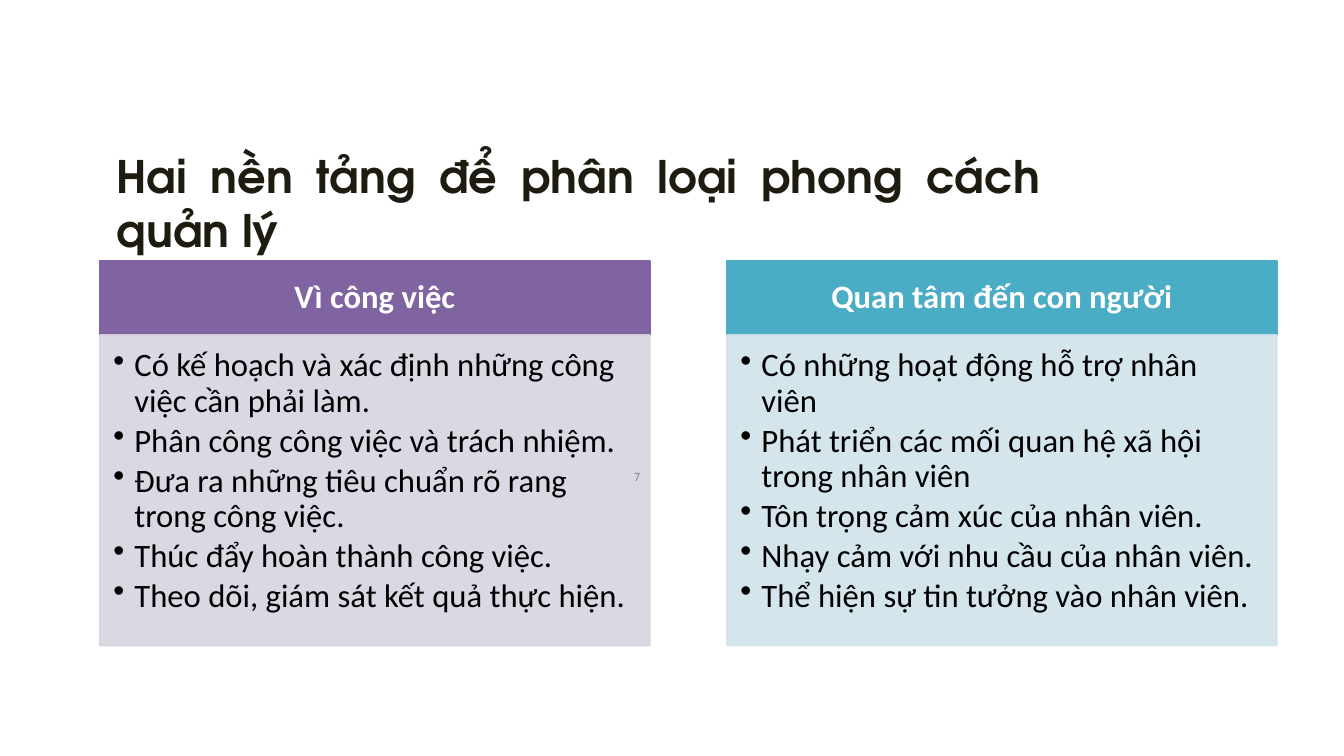
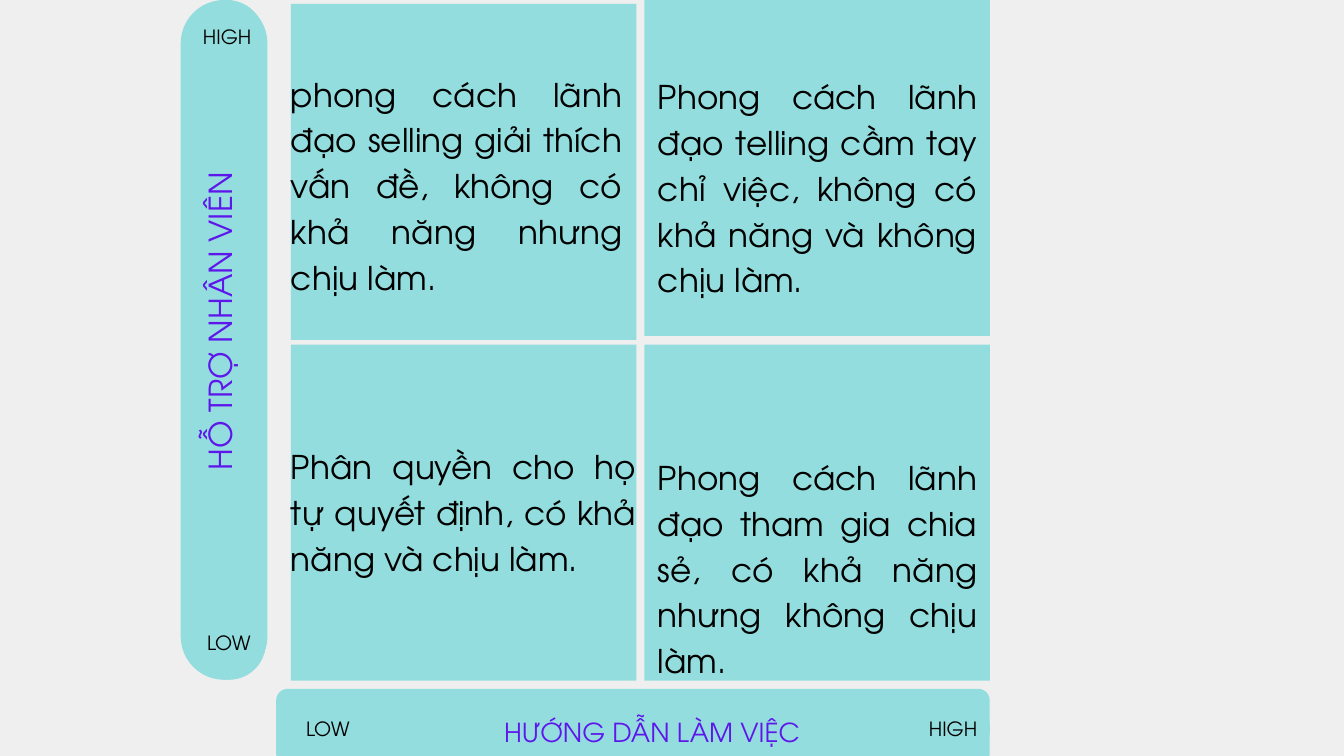
import pptx
import pptx.dml.color
import pptx.enum.shapes
import pptx.enum.text
import pptx.oxml.ns
import pptx.util
from lxml import etree

Cm = pptx.util.Cm
Pt = pptx.util.Pt
SHAPE = pptx.enum.shapes.MSO_SHAPE
ALIGN = pptx.enum.text.PP_ALIGN
ANCHOR = pptx.enum.text.MSO_ANCHOR
qn = pptx.oxml.ns.qn

HEADING_FONT = "TeX Gyre Adventor"
BODY_FONT = "Calibri"
BLACK = "000000"
WHITE = "FFFFFF"
TEAL = "94DDDE"
VIOLET = "5E17EB"

CARD_LEFTS = (3.78, 27.48)
CARD_WIDTH = 20.78
HEADER_TOP, HEADER_HEIGHT = 9.88, 2.79
LIST_HEIGHT = 11.73

CARDS = [
    ("Vì công việc", "8064A2", "D8D3E0", [
        "Có kế hoạch và xác định những công việc cần phải làm.",
        "Phân công công việc và trách nhiệm.",
        "Đưa ra những tiêu chuẩn rõ rang trong công việc.",
        "Thúc đẩy hoàn thành công việc.",
        "Theo dõi, giám sát kết quả thực hiện.",
    ]),
    ("Quan tâm đến con người", "4BACC6", "D0E3EA", [
        "Có những hoạt động hỗ trợ nhân viên",
        "Phát triển các mối quan hệ xã hội trong nhân viên",
        "Tôn trọng cảm xúc của nhân viên.",
        "Nhạy cảm với nhu cầu của nhân viên.",
        "Thể hiện sự tin tưởng vào nhân viên.",
    ]),
]

QUADRANTS = [
    ((11, 0.15), (11, 2.57, 12.52, 6.86),
     "phong cách lãnh đạo selling giải thích vấn đề, "
     "không có khả năng nhưng chịu làm."),
    ((24.36, 0), (24.87, 2.67, 12.07, 8.53),
     "Phong cách lãnh đạo telling cầm tay chỉ việc, "
     "không có khả năng và không chịu làm."),
    ((11, 13.03), (11, 16.66, 13.06, 5.16),
     "Phân quyền cho họ tự quyết định, có khả năng và chịu làm."),
    ((24.36, 13.03), (24.87, 17.07, 12.07, 6.86),
     "Phong cách lãnh đạo tham gia chia sẻ, "
     "có khả năng nhưng không chịu làm."),
]

AXIS_ENDS = [
    ("HIGH", 7.19, 0),
    ("LOW", 7.26, 22.91),
    ("LOW", 11, 26.14),
    ("HIGH", 34.63, 26.16),
]


def rgb(color):
    return pptx.dml.color.RGBColor.from_string(color)


def write(sp, text, size=35, font=HEADING_FONT, color=BLACK, bold=False,
          align=ALIGN.LEFT, anchor=ANCHOR.TOP, insets=(0.25, 0.13, 0.25, 0.13),
          spacing=None, after=0, margin=0, bullet=None, wrap=True,
          direction=None):
    tf = sp.text_frame
    tf.word_wrap = wrap
    tf.auto_size = pptx.enum.text.MSO_AUTO_SIZE.NONE
    tf.vertical_anchor = anchor
    (tf.margin_left, tf.margin_top,
     tf.margin_right, tf.margin_bottom) = map(Cm, insets)
    if direction:
        tf._txBody.bodyPr.set("vert", direction)
    lines = [text] if isinstance(text, str) else text
    for i, line in enumerate(lines):
        p = tf.add_paragraph() if i else tf.paragraphs[0]
        pPr = p._p.get_or_add_pPr()
        pPr.set("marL", str(Cm(margin)))
        pPr.set("indent", str(-Cm(margin) if bullet else 0))
        if bullet:
            etree.SubElement(pPr, qn("a:buChar")).set("char", bullet)
        p.alignment = align
        p.space_before = Pt(0)
        p.space_after = Pt(after)
        if spacing:
            p.line_spacing = spacing
        r = p.add_run()
        r.text = line
        r.font.name = font
        r.font.size = Pt(size)
        r.font.bold = bold
        r.font.color.rgb = rgb(color)


def add_text(s, box, text, **fmt):
    write(s.shapes.add_textbox(*map(Cm, box)), text, **fmt)


def add_block(s, kind, box, fill, outlined=False, opacity=None):
    sp = s.shapes.add_shape(kind, *map(Cm, box))
    sp.shadow.inherit = False
    sp.fill.solid()
    sp.fill.fore_color.rgb = rgb(fill)
    if outlined:
        sp.line.color.rgb = rgb(fill)
        sp.line.width = Pt(2)
    else:
        sp.line.fill.background()
    if opacity:
        for clr in sp._element.spPr.iter(qn("a:srgbClr")):
            etree.SubElement(clr, qn("a:alpha")).set("val", str(opacity * 1000))
    return sp


def add_bar(s, box, radius):
    sp = add_block(s, SHAPE.ROUNDED_RECTANGLE, box, TEAL)
    sp.adjustments[0] = radius


def add_card(s, left, heading, dark, light, items):
    header = add_block(s, SHAPE.RECTANGLE,
                       (left, HEADER_TOP, CARD_WIDTH, HEADER_HEIGHT),
                       dark, outlined=True)
    write(header, heading, font=BODY_FONT, color=WHITE, bold=True,
          align=ALIGN.CENTER, anchor=ANCHOR.MIDDLE,
          insets=(0.69, 0.41, 0.69, 0.41), spacing=0.9)
    body = add_block(s, SHAPE.RECTANGLE,
                     (left, HEADER_TOP + HEADER_HEIGHT, CARD_WIDTH, LIST_HEIGHT),
                     light, outlined=True, opacity=90)
    write(body, items, font=BODY_FONT, insets=(0.51, 0.51, 0.69, 0.79),
          spacing=0.9, after=5, margin=0.79, bullet="•")


def add_axis_end(s, label, left, top):
    sp = add_block(s, SHAPE.OVAL, (left, top, 2.79, 2.79), TEAL)
    write(sp, label, size=21, align=ALIGN.CENTER, anchor=ANCHOR.MIDDLE,
          insets=(0, 0, 0, 0.15), spacing=Pt(29.4), wrap=False)


def add_axis_title(s, box, text, **fmt):
    add_text(s, box, text, color=VIOLET, align=ALIGN.CENTER,
             anchor=ANCHOR.MIDDLE, insets=(0.15,) * 4, **fmt)


def build_foundations(prs):
    s = prs.slides.add_slide(prs.slide_layouts[5])
    title = s.shapes.title
    title.left, title.top, title.width, title.height = map(
        Cm, (3.38, 5.51, 36.2, 2.84))
    write(title, "Hai nền tảng để phân loại phong cách quản lý", size=48,
          color="1E1C11", bold=True, align=ALIGN.JUSTIFY, margin=0.76)
    for left, card in zip(CARD_LEFTS, CARDS):
        add_card(s, left, *card)
    add_text(s, (23.7, 17.65, 5.92, 1.02), "7", size=12, font="DejaVu Sans",
             color="898989")


def build_matrix(prs):
    s = prs.slides.add_slide(prs.slide_layouts[6])
    s.background.fill.solid()
    s.background.fill.fore_color.rgb = rgb("EFEFEF")
    for corner, box, text in QUADRANTS:
        add_block(s, SHAPE.RECTANGLE, (*corner, 13.06, 12.7), TEAL)
        add_text(s, box, text, align=ALIGN.JUSTIFY, insets=(0,) * 4,
                 spacing=Pt(49))
    add_bar(s, (6.83, 0, 3.28, 25.7), 0.5)
    add_bar(s, (10.44, 26.04, 26.97, 2.89), 0.15)
    for end in AXIS_ENDS:
        add_axis_end(s, *end)
    add_axis_title(s, (7.06, 5.49, 2.29, 13.31), "HỖ TRỢ NHÂN VIÊN", size=34,
                   spacing=Pt(47.6), direction="vert270")
    add_axis_title(s, (15.85, 26.26, 17.58, 2.67), "HƯỚNG DẪN LÀM VIỆC",
                   size=28, spacing=Pt(39.2))


def main():
    prs = pptx.Presentation()
    prs.slide_width, prs.slide_height = Cm(50.8), Cm(28.58)
    build_foundations(prs)
    build_matrix(prs)
    prs.save("out.pptx")


if __name__ == "__main__":
    main()
